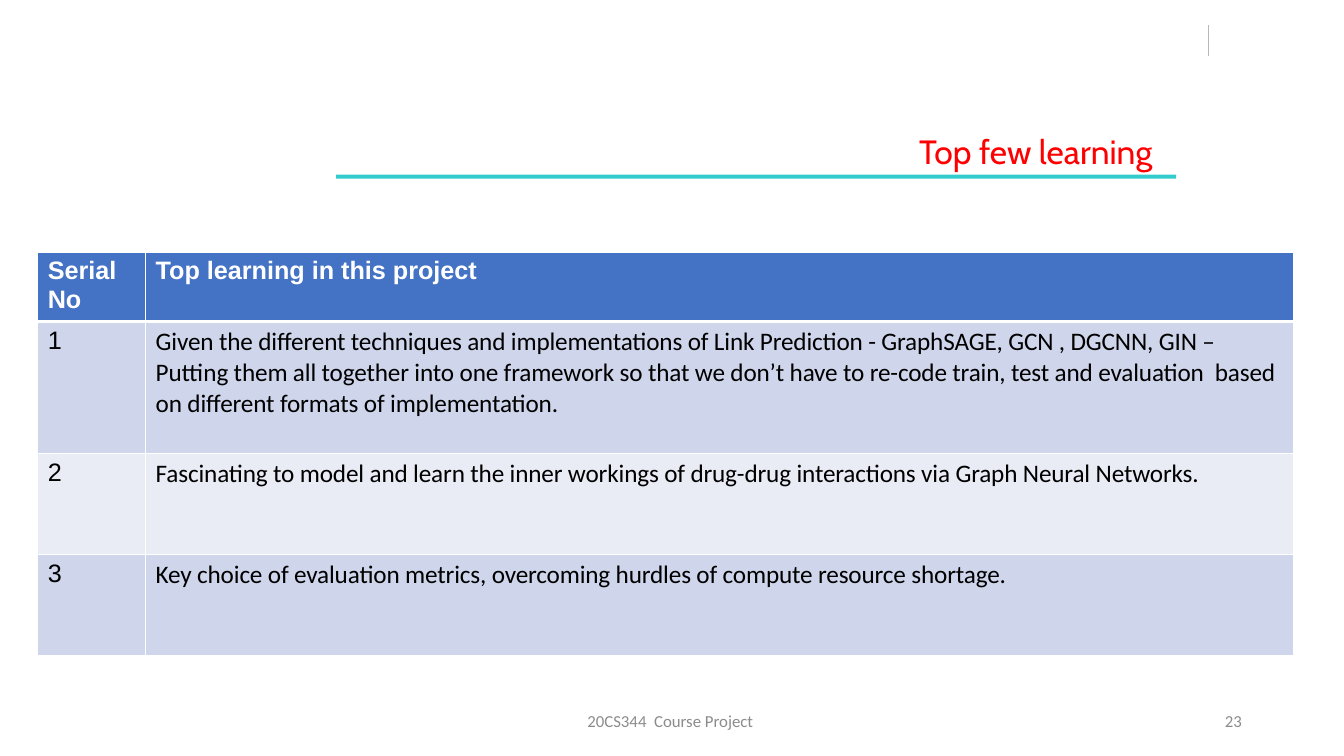
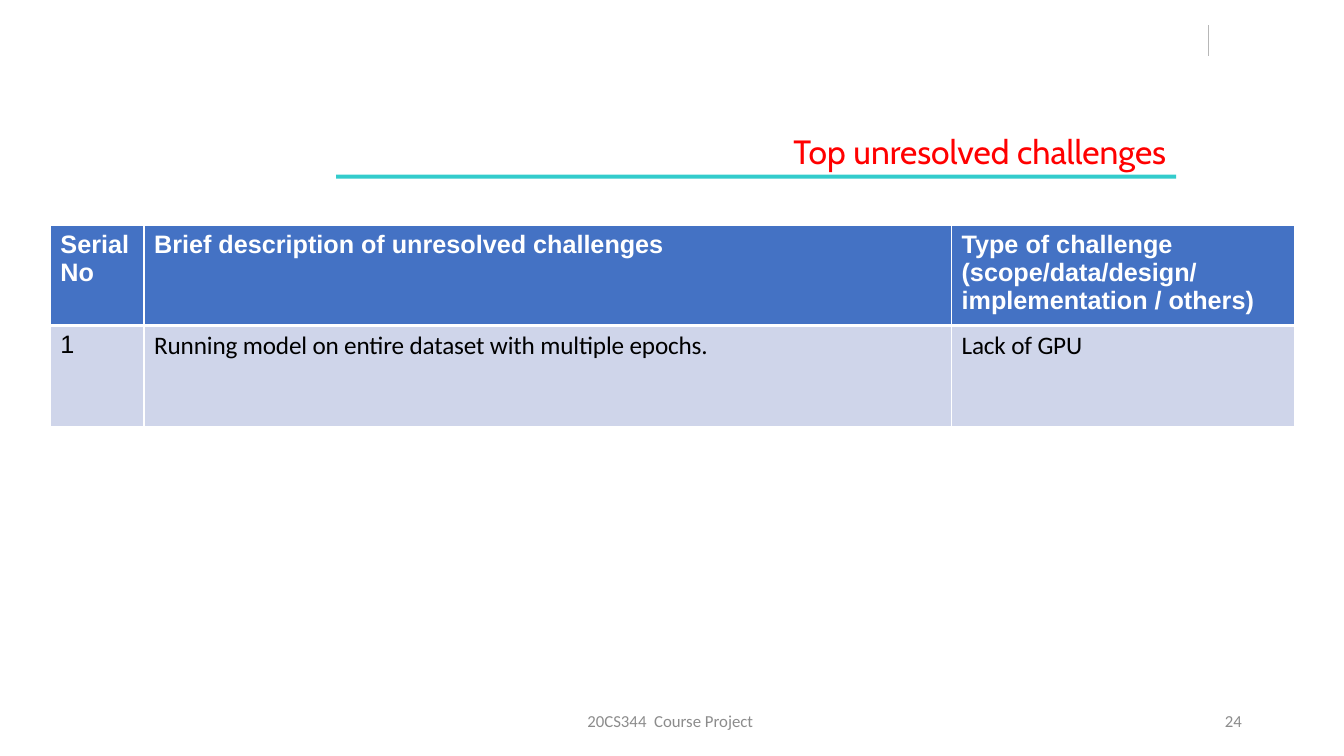
from dataclasses import dataclass

from lxml import etree
from pptx import Presentation
from pptx.dml.color import RGBColor
from pptx.enum.shapes import MSO_CONNECTOR, MSO_SHAPE
from pptx.enum.text import MSO_ANCHOR, MSO_AUTO_SIZE, PP_ALIGN
from pptx.oxml.ns import qn
from pptx.util import Cm, Pt

LEFT, CENTER, RIGHT = PP_ALIGN.LEFT, PP_ALIGN.CENTER, PP_ALIGN.RIGHT
TOP, MIDDLE = MSO_ANCHOR.TOP, MSO_ANCHOR.MIDDLE
NO_AUTOFIT = MSO_AUTO_SIZE.NONE
STRAIGHT = MSO_CONNECTOR.STRAIGHT
RECTANGLE = MSO_SHAPE.RECTANGLE

COLORS = {
    "title": "FF0000",
    "rule": "33CCCC",
    "tick": "B7B7B7",
    "footer": "8C8C8C",
    "header": "4472C4",
    "odd": "CFD5EA",
    "even": "E9EBF5",
    "border": "FFFFFF",
    "header_text": "FFFFFF",
    "body_text": "000000",
}
HEADING_FONT, LABEL_FONT, BODY_FONT = "Cabin", "Arial", "Calibri"
FOOTER = "20CS344  Course Project"
THIN, THICK = 1, 3


@dataclass(frozen=True)
class TablePage:
    """One slide: a title above a numbered table; lengths in centimetres."""
    title: str
    number: int
    left: float
    top: float
    columns: tuple[float, ...]
    heights: tuple[float, ...]
    rows: tuple[tuple[str, ...], ...]
    title_inset: float = 0.25


PAGES = (
    TablePage(
        title="Top few learning", number=23, title_inset=0.6,
        left=0.95, top=6.35, columns=(2.72, 28.93), heights=(1.75, 3.32, 2.55, 2.55),
        rows=(
            ("Serial\nNo", "Top learning in this project"),
            ("1", "Given the different techniques and implementations of Link Prediction - "
                  "GraphSAGE, GCN , DGCNN, GIN – Putting them all together into one framework "
                  "so that we don’t have to re-code train, test and evaluation  based on "
                  "different formats of implementation."),
            ("2", "Fascinating to model and learn the inner workings of drug-drug "
                  "interactions via Graph Neural Networks."),
            ("3", "Key choice of evaluation metrics, overcoming hurdles of compute "
                  "resource shortage."),
        ),
    ),
    TablePage(
        title="Top unresolved challenges", number=24,
        left=1.27, top=5.68, columns=(2.36, 20.35, 8.64), heights=(2.52, 2.55),
        rows=(
            ("Serial No", "Brief description of unresolved challenges",
             "Type of challenge\n(scope/data/design/implementation / others)"),
            ("1", "Running model on entire dataset with multiple epochs.", "Lack of GPU"),
        ),
    ),
)


def color(name: str) -> RGBColor:
    return RGBColor.from_string(COLORS[name])


def write(frame, text: str, *, font: str, size: float, ink: str, bold: bool = False,
          align=LEFT, spacing: float = 0) -> None:
    """Fill a text frame, one paragraph per line of text."""
    frame.word_wrap = True
    for index, line in enumerate(text.split("\n")):
        para = frame.add_paragraph() if index else frame.paragraphs[0]
        para.alignment = align
        span = para.add_run()
        span.text = line
        span.font.name = font
        span.font.size = Pt(size)
        span.font.bold = bold
        span.font.color.rgb = color(ink)
        if spacing:
            span._r.get_or_add_rPr().set("spc", str(round(spacing * 100)))


def add_title(page, text: str, inset: float) -> None:
    title = page.shapes.title
    title.left, title.top, title.width, title.height = Cm(8.05), Cm(3.18), Cm(21.59), Cm(1.27)
    frame = title.text_frame
    frame.auto_size = NO_AUTOFIT
    frame.vertical_anchor = TOP
    frame.margin_right = Cm(inset)
    write(frame, text, font=HEADING_FONT, size=24, ink="title", align=RIGHT)


def add_decoration(page) -> None:
    # Grey tick in the top corner
    tick = page.shapes.add_connector(STRAIGHT, Cm(30.45), Cm(0.64), Cm(30.45), Cm(1.4))
    tick.line.color.rgb = color("tick")
    tick.line.width = Pt(0.75)
    etree.SubElement(tick._element.spPr, qn("a:effectLst"))

    # Rule under the title
    rule = page.shapes.add_shape(RECTANGLE, Cm(8.47), Cm(4.4), Cm(21.17), Cm(0.1))
    rule.shadow.inherit = False
    rule.fill.solid()
    rule.fill.fore_color.rgb = color("rule")
    rule.line.fill.background()


def add_footer_text(page, text: str, left: float, width: float, align) -> None:
    box = page.shapes.add_textbox(Cm(left), Cm(17.65), Cm(width), Cm(1.02))
    box.text_frame.vertical_anchor = MIDDLE
    write(box.text_frame, text, font=BODY_FONT, size=12, ink="footer", align=align)


def set_borders(cell, top: float, bottom: float) -> None:
    properties = cell._tc.get_or_add_tcPr()
    widths = {"lnL": THIN, "lnR": THIN, "lnT": top, "lnB": bottom}
    for position, (side, width) in enumerate(widths.items()):
        edge = etree.Element(qn(f"a:{side}"), w=str(Pt(width)))
        fill = etree.SubElement(edge, qn("a:solidFill"))
        etree.SubElement(fill, qn("a:srgbClr"), val=COLORS["border"])
        properties.insert(position, edge)


def add_table(page, content: TablePage) -> None:
    table = page.shapes.add_table(
        len(content.rows), len(content.columns), Cm(content.left), Cm(content.top),
        Cm(sum(content.columns)), Cm(sum(content.heights))).table
    table.horz_banding = False
    for column, width in zip(table.columns, content.columns):
        column.width = Cm(width)
    for row, height in zip(table.rows, content.heights):
        row.height = Cm(height)

    for row_index, texts in enumerate(content.rows):
        is_header = row_index == 0
        shade = "header" if is_header else ("even", "odd")[row_index % 2]
        for column_index, text in enumerate(texts):
            is_label = is_header or column_index == 0
            cell = table.cell(row_index, column_index)
            cell.fill.solid()
            cell.fill.fore_color.rgb = color(shade)
            set_borders(cell, top=THICK if row_index == 1 else THIN,
                        bottom=THICK if is_header else THIN)
            write(cell.text_frame, text, size=18, bold=is_header,
                  font=LABEL_FONT if is_label else BODY_FONT,
                  ink="header_text" if is_header else "body_text",
                  spacing=0 if is_label else -0.1)


def add_page(deck, content: TablePage) -> None:
    page = deck.slides.add_slide(deck.slide_layouts.get_by_name("Title Only"))
    add_decoration(page)
    add_title(page, content.title, content.title_inset)
    add_table(page, content)
    add_footer_text(page, str(content.number), left=23.93, width=7.62, align=RIGHT)
    add_footer_text(page, FOOTER, left=11.18, width=11.43, align=CENTER)


def main() -> None:
    deck = Presentation()
    deck.slide_width, deck.slide_height = Cm(33.87), Cm(19.05)
    for content in PAGES:
        add_page(deck, content)
    deck.save("out.pptx")


if __name__ == "__main__":
    main()
